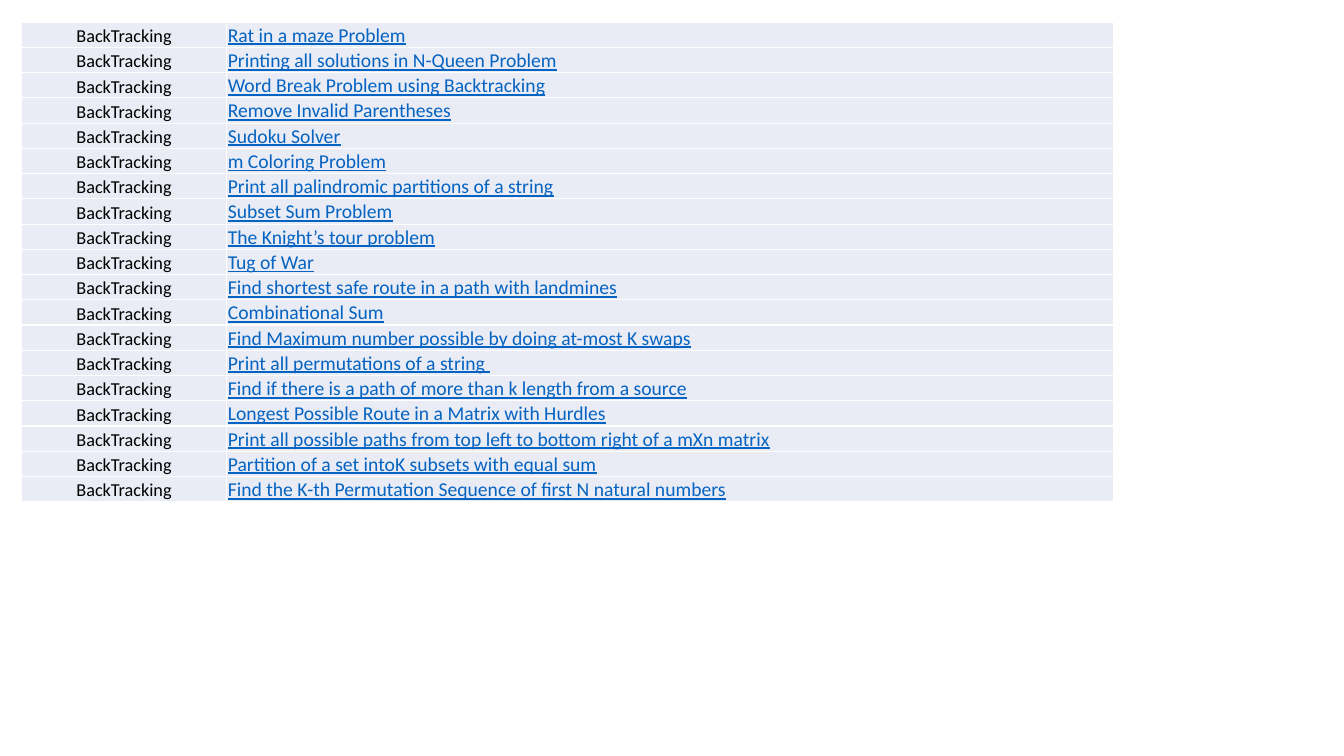
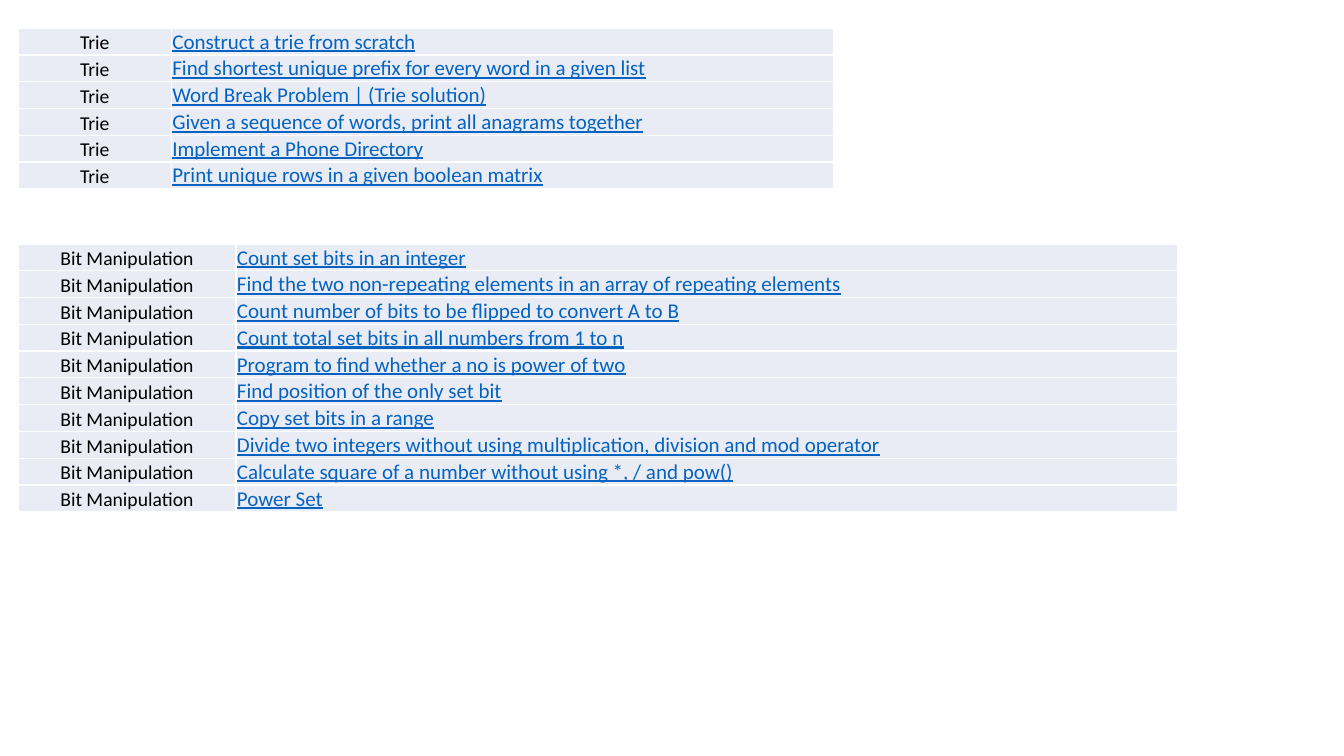
from lxml import etree
from pptx import Presentation
from pptx.dml.color import RGBColor
from pptx.enum import text
from pptx.oxml import ns
from pptx.util import Inches, Pt

FONT = "Calibri"
BLACK = RGBColor(0x00, 0x00, 0x00)
LINK_BLUE = RGBColor(0x05, 0x63, 0xC1)
PALE_BLUE = RGBColor(0xE9, 0xEB, 0xF5)
WHITE = RGBColor(0xFF, 0xFF, 0xFF)
BORDER_WIDTH = Pt(1)

BACKTRACKING = [
    "Rat in a maze Problem",
    "Printing all solutions in N-Queen Problem",
    "Word Break Problem using Backtracking",
    "Remove Invalid Parentheses",
    "Sudoku Solver",
    "m Coloring Problem",
    "Print all palindromic partitions of a string",
    "Subset Sum Problem",
    "The Knight’s tour problem",
    "Tug of War",
    "Find shortest safe route in a path with landmines",
    "Combinational Sum",
    "Find Maximum number possible by doing at-most K swaps",
    "Print all permutations of a string ",
    "Find if there is a path of more than k length from a source",
    "Longest Possible Route in a Matrix with Hurdles",
    "Print all possible paths from top left to bottom right of a mXn matrix",
    "Partition of a set intoK subsets with equal sum",
    "Find the K-th Permutation Sequence of first N natural numbers",
]
TRIE = [
    "Construct a trie from scratch",
    "Find shortest unique prefix for every word in a given list",
    "Word Break Problem | (Trie solution)",
    "Given a sequence of words, print all anagrams together",
    "Implement a Phone Directory",
    "Print unique rows in a given boolean matrix",
]
BIT_MANIPULATION = [
    "Count set bits in an integer",
    "Find the two non-repeating elements in an array of repeating elements",
    "Count number of bits to be flipped to convert A to B",
    "Count total set bits in all numbers from 1 to n",
    "Program to find whether a no is power of two",
    "Find position of the only set bit",
    "Copy set bits in a range",
    "Divide two integers without using multiplication, division and mod operator",
    "Calculate square of a number without using *, / and pow()",
    "Power Set",
]


def add_borders(cell):
    """Draw a thin white line on every side of a cell."""
    properties = cell._tc.get_or_add_tcPr()
    for side in ("a:lnL", "a:lnR", "a:lnT", "a:lnB"):
        border = etree.SubElement(properties, ns.qn(side), w=str(BORDER_WIDTH))
        fill = etree.SubElement(border, ns.qn("a:solidFill"))
        etree.SubElement(fill, ns.qn("a:srgbClr"), val=str(WHITE))


def fill_cell(cell, wording, size, color, align, underline=False):
    """Write one bottom-anchored cell on the pale background."""
    add_borders(cell)
    cell.fill.solid()
    cell.fill.fore_color.rgb = PALE_BLUE
    cell.margin_left = cell.margin_right = cell.margin_top = Inches(0.01)
    cell.margin_bottom = 0
    cell.vertical_anchor = text.MSO_ANCHOR.BOTTOM
    paragraph = cell.text_frame.paragraphs[0]
    paragraph.text = wording
    paragraph.alignment = align
    font = paragraph.runs[0].font
    font.name = FONT
    font.size = Pt(size)
    font.color.rgb = color
    font.underline = underline


def add_problem_table(slide, box, topic, problems, topic_width, topic_size):
    """Place a table pairing a topic with each of its problems."""
    left, top, width, height = box
    table = slide.shapes.add_table(
        len(problems), 2, Inches(left), Inches(top), Inches(width), Inches(height)
    ).table
    table.first_row = table.horz_banding = False
    table.columns[0].width = Inches(topic_width)
    table.columns[1].width = Inches(width - topic_width)
    for row, problem in zip(table.rows, problems):
        row.height = Inches(height / len(problems))
        topic_cell, problem_cell = row.cells
        fill_cell(topic_cell, topic, topic_size, BLACK, text.PP_ALIGN.CENTER)
        fill_cell(problem_cell, problem, topic_size + 1, LINK_BLUE,
                  text.PP_ALIGN.LEFT, underline=True)


def add_blank_slide(deck):
    """Add a slide on the blank layout."""
    return deck.slides.add_slide(deck.slide_layouts[6])


def main():
    """Build the two problem-list slides."""
    deck = Presentation()
    deck.slide_width, deck.slide_height = Inches(13.33), Inches(7.5)

    slide = add_blank_slide(deck)
    add_problem_table(slide, (0.21, 0.22, 10.84, 4.76), "BackTracking",
                      BACKTRACKING, 2.04, 13)

    slide = add_blank_slide(deck)
    add_problem_table(slide, (0.18, 0.28, 8.09, 1.59), "Trie", TRIE, 1.52, 14)
    add_problem_table(slide, (0.18, 2.42, 11.5, 2.66), "Bit Manipulation",
                      BIT_MANIPULATION, 2.16, 14)

    deck.save("out.pptx")


if __name__ == "__main__":
    main()
